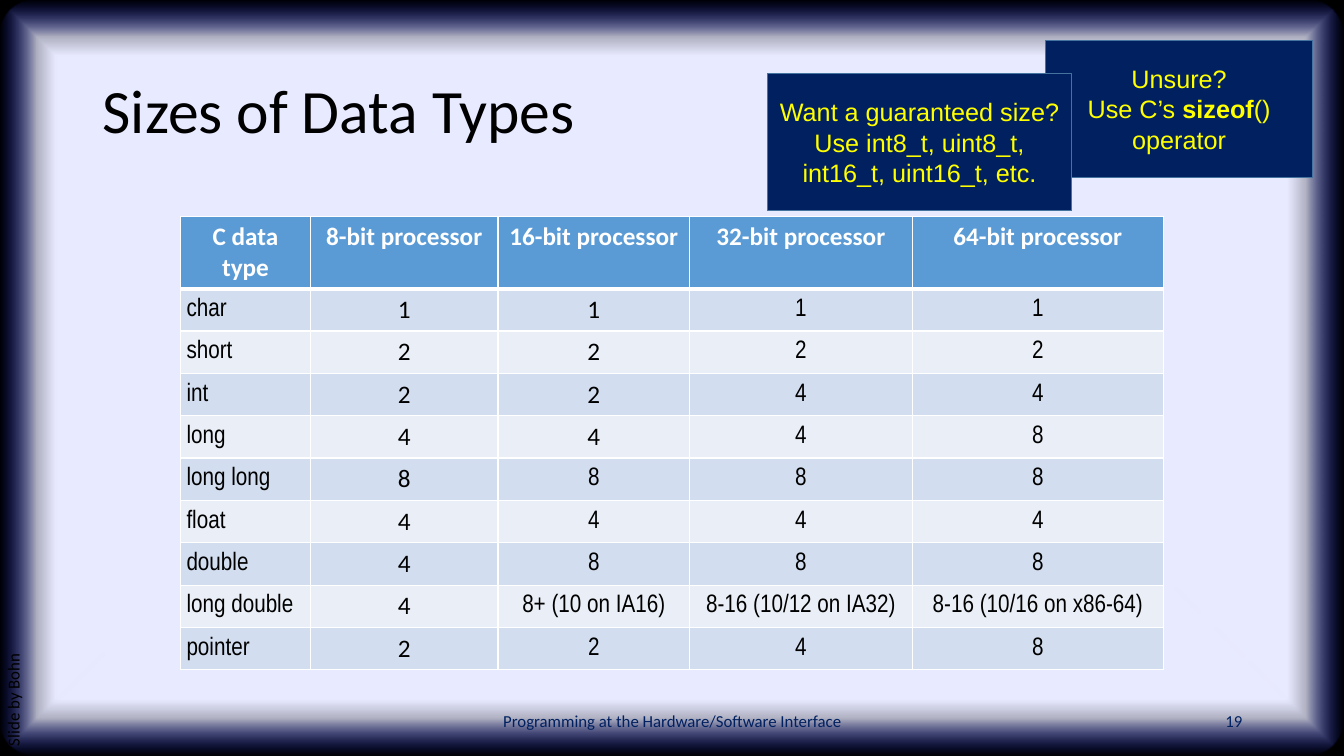
"""Build the slide that compares the sizes of C data types across processors."""
from pptx import Presentation
from pptx.dml.color import RGBColor
from pptx.enum.shapes import MSO_SHAPE as Preset
from pptx.enum.text import MSO_ANCHOR as Anchor, PP_ALIGN as Align
from pptx.oxml import parse_xml
from pptx.util import Inches, Pt

NS = 'xmlns:a="http://schemas.openxmlformats.org/drawingml/2006/main"'
WIDTH, HEIGHT = Inches(13.33), Inches(7.5)

BLACK = RGBColor(0x00, 0x00, 0x00)
WHITE = RGBColor(0xFF, 0xFF, 0xFF)
NAVY = RGBColor(0x00, 0x20, 0x60)
YELLOW = RGBColor(0xFF, 0xFF, 0x00)
NOTE_EDGE = RGBColor(0x43, 0x73, 0x9E)
HEADER_BLUE = RGBColor(0x5B, 0x9B, 0xD5)
BAND_DARK = RGBColor(0xD2, 0xDE, 0xEF)
BAND_LIGHT = RGBColor(0xEA, 0xEF, 0xF7)
GLOW_PALE = RGBColor(0xE8, 0xEA, 0xFF)
GLOW_BLUE = RGBColor(0x16, 0x2A, 0xFF)
GLOW_STOPS = [(85, GLOW_PALE, 100), (90, GLOW_PALE, 75), (100, GLOW_BLUE, 0)]

HEADINGS = ["C data type"] + [f"{bits}-bit processor" for bits in (8, 16, 32, 64)]
SIZES = [
    ("char", "1", "1", "1", "1"),
    ("short", "2", "2", "2", "2"),
    ("int", "2", "2", "4", "4"),
    ("long", "4", "4", "4", "8"),
    ("long long", "8", "8", "8", "8"),
    ("float", "4", "4", "4", "4"),
    ("double", "4", "8", "8", "8"),
    ("long double", "4", "8+ (10 on IA16)", "8-16 (10/12 on IA32)",
     "8-16 (10/16 on x86-64)"),
    ("pointer", "2", "2", "4", "8"),
]
COLUMN_SHARES = [9.68, 13.95, 14.25, 16.58, 18.68]
HEADER_SHARE, ROW_SHARE = 9.52, 5.4
FIRST_WIDE_VALUE_ROW = 5


def across(share):
    """Turn a percentage of the slide width into a length."""
    return round(WIDTH * share / 100)


def down(share):
    """Turn a percentage of the slide height into a length."""
    return round(HEIGHT * share / 100)


def area(left, top, width, height):
    """Turn four percentages into a position and a size."""
    return across(left), down(top), across(width), down(height)


def write(frame, lines, size, face, color, align=Align.LEFT, spacing=None):
    """Fill a text frame with lines made of (wording, bold) runs."""
    frame.word_wrap = True
    for index, runs in enumerate(lines):
        line = frame.add_paragraph() if index else frame.paragraphs[0]
        line.alignment = align
        if spacing:
            line.line_spacing = spacing
        for wording, bold in runs:
            run = line.add_run()
            run.text = wording
            run.font.size, run.font.name, run.font.bold = Pt(size), face, bold
            run.font.color.rgb = color


def add_label(slide, place, wording, size, color, align=Align.LEFT,
              anchor=Anchor.MIDDLE, spacing=None):
    """Add one line of plain text and return its box."""
    label = slide.shapes.add_textbox(*place)
    label.text_frame.vertical_anchor = anchor
    write(label.text_frame, [[(wording, False)]], size, "Calibri", color, align, spacing)
    return label


def add_panel(slide, preset, place, fill, edge=None):
    """Add a flat filled shape with an optional edge."""
    panel = slide.shapes.add_shape(preset, *place)
    panel.shadow.inherit = False
    panel.fill.solid()
    panel.fill.fore_color.rgb = fill
    if edge is None:
        panel.line.fill.background()
    else:
        panel.line.color.rgb = edge
        panel.line.width = Pt(1)
    return panel


def add_backdrop(slide):
    """Cover the slide in black under a pale glow that fades at the edges."""
    whole = area(0, 0, 100, 100)
    add_panel(slide, Preset.RECTANGLE, whole, BLACK)
    glow = add_panel(slide, Preset.ROUNDED_RECTANGLE, whole, GLOW_PALE)
    glow.adjustments[0] = 0.05
    stops = "".join(
        f'<a:gs pos="{pos * 1000}"><a:srgbClr val="{color}">'
        f'<a:alpha val="{opacity * 1000}"/></a:srgbClr></a:gs>'
        for pos, color, opacity in GLOW_STOPS)
    gradient = parse_xml(
        f'<a:gradFill {NS} rotWithShape="1"><a:gsLst>{stops}</a:gsLst>'
        '<a:path path="shape"><a:fillToRect l="50000" t="50000" r="50000" b="50000"/>'
        '</a:path></a:gradFill>')
    properties = glow.fill._xPr
    properties.replace(properties.solidFill, gradient)


def add_note(slide, place, lines):
    """Add a navy note with centred yellow text."""
    note = add_panel(slide, Preset.RECTANGLE, place, NAVY, NOTE_EDGE)
    note.text_frame.vertical_anchor = Anchor.MIDDLE
    write(note.text_frame, lines, 18, "Arial", YELLOW, Align.CENTER)


def style_cell(cell, fill, bottom_width=1):
    """Give a cell white borders and a solid fill."""
    properties = cell._tc.get_or_add_tcPr()
    for side, points in (("L", 1), ("R", 1), ("T", 1), ("B", bottom_width)):
        properties.append(parse_xml(
            f'<a:ln{side} {NS} w="{Pt(points)}"><a:solidFill>'
            f'<a:srgbClr val="{WHITE}"/></a:solidFill></a:ln{side}>'))
    cell.fill.solid()
    cell.fill.fore_color.rgb = fill


def fill_size_cell(cell, row, column, wording):
    """Write one type name or size in its banded cell."""
    style_cell(cell, BAND_DARK if row % 2 else BAND_LIGHT)
    cell.vertical_anchor = Anchor.MIDDLE
    calibri = column == 1 or (column == 2 and row < FIRST_WIDE_VALUE_ROW)
    if column in (0, 3, 4):
        cell.margin_left = cell.margin_right = Inches(0.06)
        cell.margin_top = cell.margin_bottom = Inches(0.06)
    write(cell.text_frame, [[(wording, False)]], 18,
          "Calibri" if calibri else "Arial Narrow", BLACK,
          Align.CENTER if column else Align.LEFT)


def add_size_table(slide):
    """Add the table of data type sizes."""
    row_shares = [HEADER_SHARE] + [ROW_SHARE] * len(SIZES)
    place = area(13.43, 28.67, sum(COLUMN_SHARES), sum(row_shares))
    table = slide.shapes.add_table(len(row_shares), len(HEADINGS), *place).table
    for column, share in zip(table.columns, COLUMN_SHARES):
        column.width = across(share)
    for row, share in zip(table.rows, row_shares):
        row.height = down(share)
    for column, heading in enumerate(HEADINGS):
        cell = table.cell(0, column)
        style_cell(cell, HEADER_BLUE, bottom_width=3)
        write(cell.text_frame, [[(heading, True)]], 18, "Calibri", WHITE, Align.CENTER)
    for row, values in enumerate(SIZES, 1):
        for column, wording in enumerate(values):
            fill_size_cell(table.cell(row, column), row, column, wording)


def main():
    """Build and save the slide."""
    deck = Presentation()
    deck.slide_width, deck.slide_height = WIDTH, HEIGHT
    slide = deck.slides.add_slide(deck.slide_layouts[6])
    add_backdrop(slide)
    add_label(slide, area(6.9, 5.33, 86.25, 19.33), "Sizes of Data Types", 44, BLACK,
              spacing=0.9)
    add_size_table(slide)
    add_label(slide, area(33.16, 92.67, 33.75, 5.33),
              "Programming at the Hardware/Software Interface", 12, NAVY, Align.CENTER)
    add_label(slide, area(70.67, 92.67, 22.5, 5.33), "19", 12, NAVY, Align.RIGHT)
    credit = add_label(slide, area(-18.3, 62.13, 39.61, 5.33), "Slide by Bohn", 12, BLACK,
                       anchor=Anchor.TOP, spacing=0.9)
    credit.rotation = 270
    add_note(slide, area(77.79, 5.33, 19.88, 18.13), [
        [("Unsure?", False)],
        [("Use C’s ", False), ("sizeof", True), ("() operator", False)]])
    add_note(slide, area(57.09, 9.73, 22.66, 18.13), [
        [("Want a guaranteed size?", False)],
        [("Use int8_t, uint8_t, int16_t, uint16_t, etc.", False)]])
    deck.save("out.pptx")


if __name__ == "__main__":
    main()
